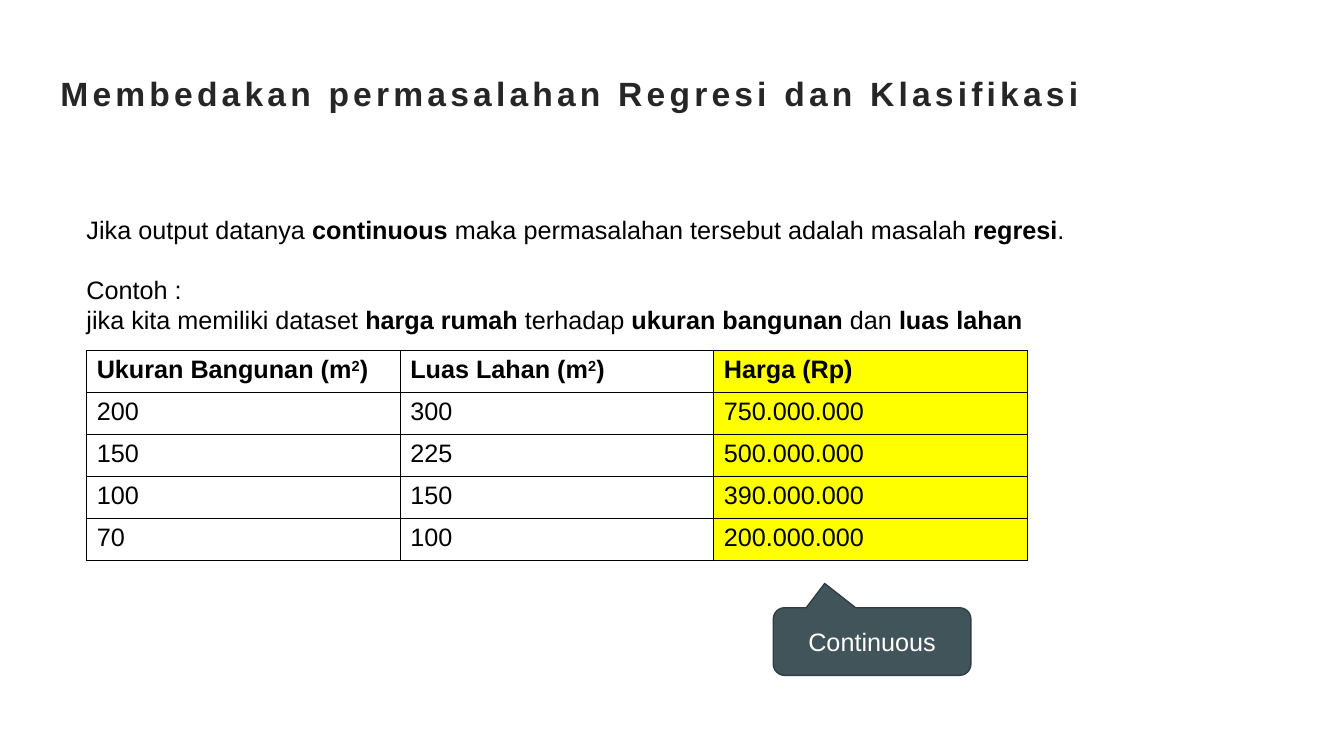
"""Build the slide on telling regression from classification problems."""
from lxml.etree import SubElement
from pptx import Presentation
from pptx.dml.color import RGBColor
from pptx.enum.shapes import MSO_SHAPE as Shape
from pptx.enum.text import MSO_ANCHOR as Anchor, PP_ALIGN as Align
from pptx.oxml.ns import qn
from pptx.util import Inches, Pt

BLACK = RGBColor(0x00, 0x00, 0x00)
WHITE = RGBColor(0xFF, 0xFF, 0xFF)
CHARCOAL = RGBColor(0x26, 0x26, 0x26)
YELLOW = RGBColor(0xFF, 0xFF, 0x00)
SLATE = RGBColor(0x41, 0x54, 0x5A)
DARK_SLATE = RGBColor(0x30, 0x3E, 0x43)

EXPLANATION = [
    [("Jika output datanya ", ""), ("continuous ", "bold"),
     ("maka permasalahan tersebut adalah masalah ", ""),
     ("regresi", "bold"), (".", "")],
    [("Contoh :", "")],
    [("jika kita memiliki dataset ", ""), ("harga rumah ", "bold"),
     ("terhadap ", ""), ("ukuran bangunan ", "bold"), ("dan ", ""),
     ("luas lahan", "bold")],
]
SQUARED = [("2", "bold super"), (")", "bold")]
HEADER = [
    [("Ukuran Bangunan (m", "bold"), *SQUARED],
    [("Luas Lahan (m", "bold"), *SQUARED],
    [("Harga (Rp)", "bold")],
]
HOUSES = [
    ("200", "300", "750.000.000"),
    ("150", "225", "500.000.000"),
    ("100", "150", "390.000.000"),
    ("70", "100", "200.000.000"),
]


class SlideBuilder:
    """Holds the text style and the current slide."""

    def __init__(self, page, font="Arial", size=18):
        self.page = page
        self.font = font
        self.size = size

    def add_spans(self, para, spans, color=BLACK, size=None, spacing=0):
        for text, style in spans:
            span = para.add_run()
            span.text = text
            span.font.name = self.font
            span.font.size = Pt(size or self.size)
            span.font.bold = "bold" in style
            span.font.color.rgb = color
            properties = span.font._element
            if "super" in style:
                properties.set("baseline", "30000")
            if spacing:
                properties.set("spc", str(spacing * 100))

    def text(self, left, top, width, height, lines, gaps=(), **style):
        box = self.page.shapes.add_textbox(
            Inches(left), Inches(top), Inches(width), Inches(height))
        frame = box.text_frame
        frame.word_wrap = True
        for index, spans in enumerate(lines):
            para = frame.add_paragraph() if index else frame.paragraphs[0]
            if index in gaps:
                para.space_before = Pt(21)
            self.add_spans(para, spans, **style)

    def border(self, cell):
        properties = cell._tc.get_or_add_tcPr()
        for index, side in enumerate(("lnL", "lnR", "lnT", "lnB")):
            line = properties.makeelement(qn(f"a:{side}"), {"w": str(Pt(1))})
            fill = SubElement(line, qn("a:solidFill"))
            SubElement(fill, qn("a:srgbClr"), val=str(BLACK))
            properties.insert(index, line)

    def table(self, left, top, width, height, rows, highlight):
        frame = self.page.shapes.add_table(
            len(rows), len(rows[0]),
            Inches(left), Inches(top), Inches(width), Inches(height))
        table = frame.table
        table.first_row = False
        table.horz_banding = False
        for row, entries in enumerate(rows):
            for column, spans in enumerate(entries):
                cell = table.cell(row, column)
                if column == highlight:
                    cell.fill.solid()
                    cell.fill.fore_color.rgb = YELLOW
                else:
                    cell.fill.background()
                self.border(cell)
                self.add_spans(cell.text_frame.paragraphs[0], spans)

    def callout(self, left, top, width, height, label, pointer):
        shape = self.page.shapes.add_shape(
            Shape.ROUNDED_RECTANGULAR_CALLOUT,
            Inches(left), Inches(top), Inches(width), Inches(height))
        shape.shadow.inherit = False
        shape.adjustments[0], shape.adjustments[1] = pointer
        shape.fill.solid()
        shape.fill.fore_color.rgb = SLATE
        shape.line.color.rgb = DARK_SLATE
        shape.line.width = Pt(1)
        frame = shape.text_frame
        frame.word_wrap = True
        frame.vertical_anchor = Anchor.MIDDLE
        para = frame.paragraphs[0]
        para.alignment = Align.CENTER
        self.add_spans(para, [(label, "")], color=WHITE)


def main():
    deck = Presentation()
    deck.slide_width = Inches(13.33)
    deck.slide_height = Inches(7.5)
    builder = SlideBuilder(deck.slides.add_slide(deck.slide_layouts[6]))

    title = [("Membedakan permasalahan Regresi dan Klasifikasi", "bold")]
    builder.text(0.5, 0.67, 10.78, 0.62, [title],
                 color=CHARCOAL, size=24, spacing=3)
    builder.text(0.76, 2.08, 12.13, 1.61, EXPLANATION, gaps=(1,))
    rows = [HEADER] + [[[(value, "")] for value in house] for house in HOUSES]
    builder.table(0.86, 3.48, 9.33, 2.08, rows, highlight=2)
    builder.callout(7.67, 6.03, 1.96, 0.67, "Continuous", (-0.24, -0.86))
    deck.save("out.pptx")


if __name__ == "__main__":
    main()
